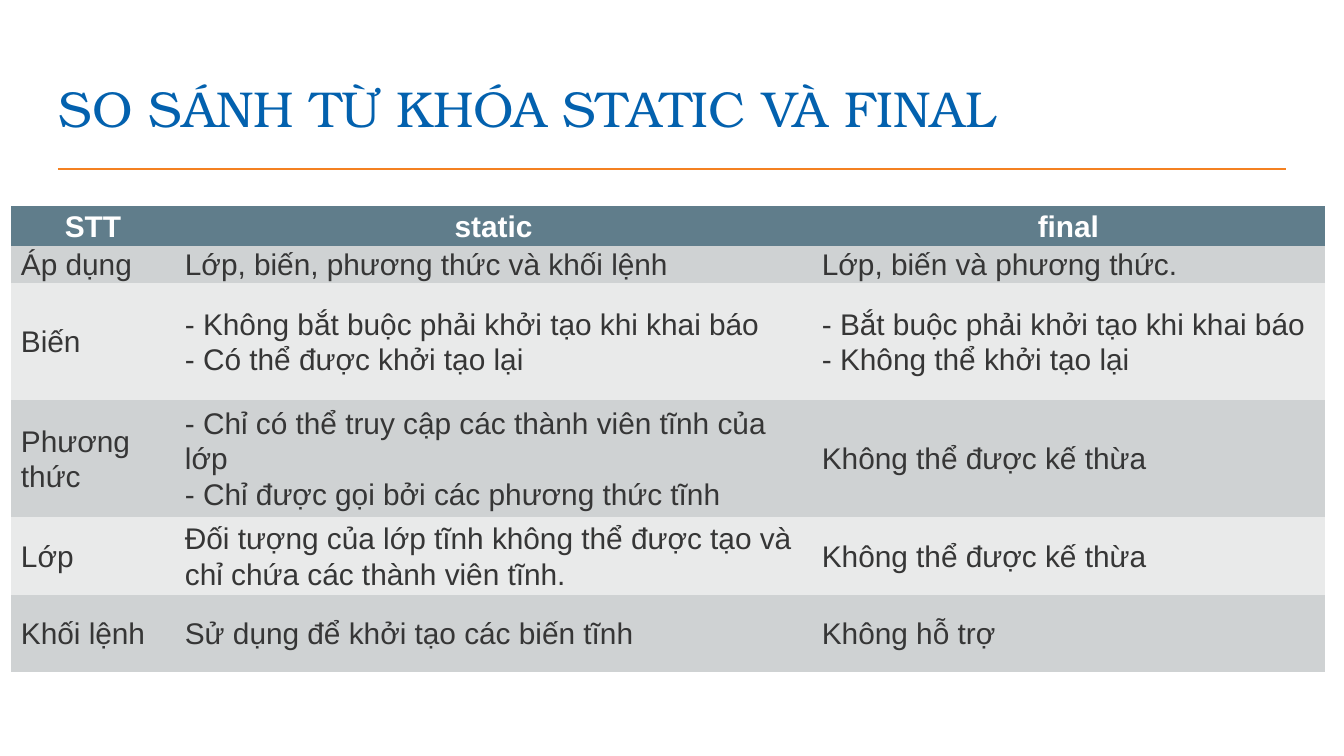
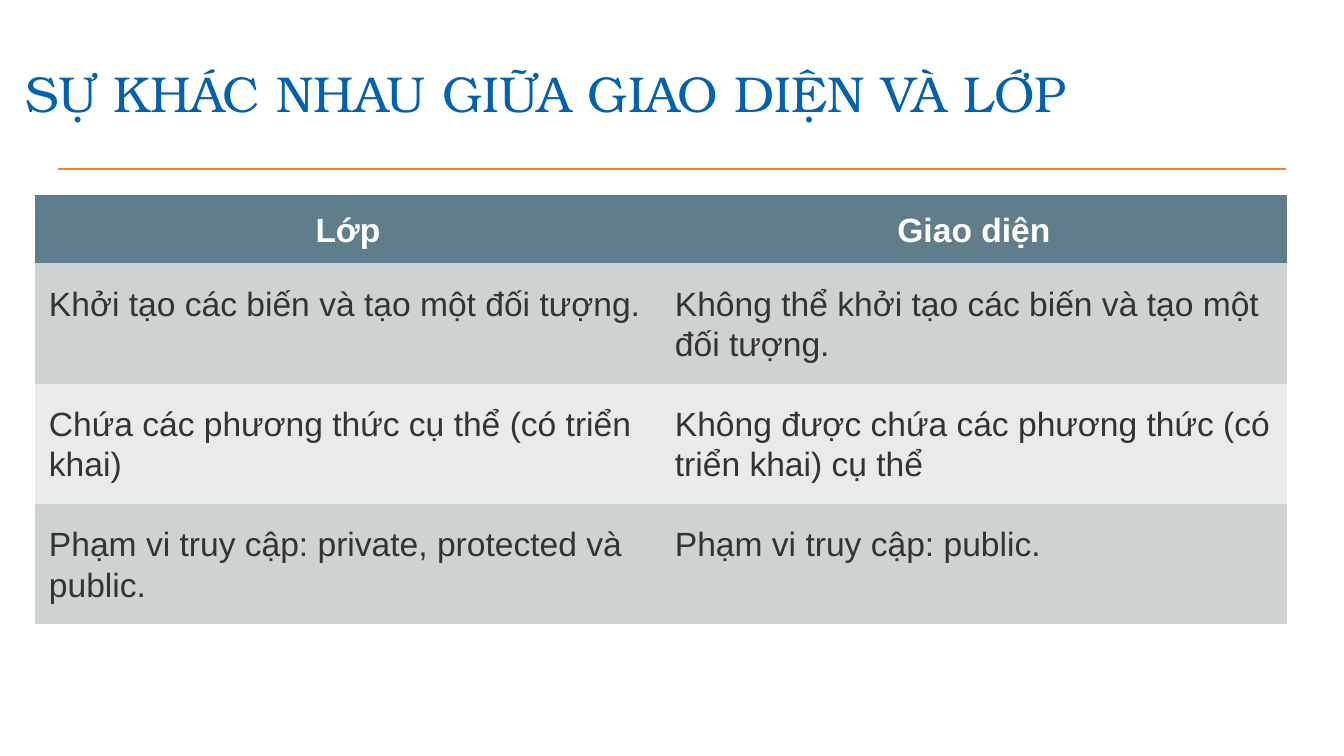
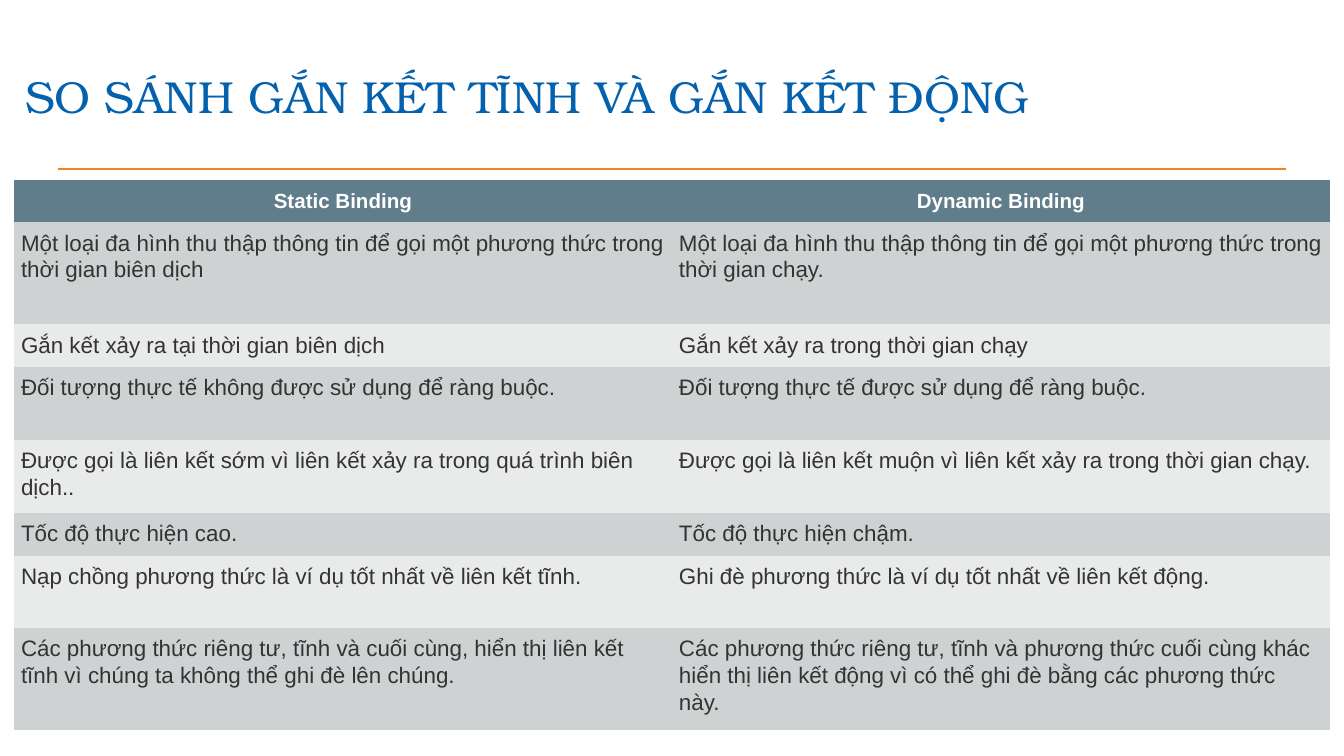
"""Build three comparison-table slides for a Java course."""
from dataclasses import dataclass

from pptx import Presentation
from pptx import util as u
from pptx.dml.color import RGBColor
from pptx.enum import shapes, text
from pptx.oxml import parse_xml
from pptx.oxml.ns import nsdecls, qn

SLIDE_WIDTH, SLIDE_HEIGHT = 1344, 756
EMU_PER_PX = u.Inches(10) / SLIDE_WIDTH
TITLE_ONLY = 5
NO_TABLE_STYLE = "{2D5ABB26-0587-4C30-8999-92F81FD0307C}"
TITLE_FONT, TABLE_FONT = "TeX Gyre Bonum", "Arial"
TITLE_SIZE = (1252, 85)
TITLE_INSET = 13
RULE_LEFT, RULE_RIGHT, RULE_TOP = 58, 1286, 169
MIDDLE, TOP = text.MSO_ANCHOR.MIDDLE, text.MSO_ANCHOR.TOP
COLORS = {
    "title": "0361AE",
    "rule": "F48121",
    "header": "607D8B",
    "header_text": "FFFFFF",
    "odd_row": "CFD2D3",
    "even_row": "E9EAEA",
    "charcoal": "363636",
    "dark": "333333",
}


@dataclass(frozen=True)
class CellStyle:
    size: int
    color: str
    anchor: text.MSO_ANCHOR
    inset_x: int
    inset_y: int
    space_after: int = 0
    bold: bool = False
    alignment: text.PP_ALIGN = text.PP_ALIGN.LEFT


@dataclass(frozen=True)
class Comparison:
    title: str
    title_left: int
    title_top: int
    title_points: int
    table_left: int
    table_top: int
    column_widths: tuple[int, ...]
    row_heights: tuple[int, ...]
    header: CellStyle
    body: CellStyle
    rows: tuple[tuple[str, ...], ...]


def header_style(size: int, anchor: text.MSO_ANCHOR, inset_x: int, inset_y: int,
                 space_after: int = 0) -> CellStyle:
    """Return the bold, white, centred style of a header row."""
    return CellStyle(size, "header_text", anchor, inset_x, inset_y, space_after,
                     True, text.PP_ALIGN.CENTER)


COMPARISONS = (
    Comparison(
        "SO SÁNH TỪ KHÓA STATIC VÀ FINAL", 46, 66, 27,
        11, 206, (164, 637, 513), (40, 37, 117, 117, 78, 77),
        header_style(16, MIDDLE, 10, 0),
        CellStyle(16, "charcoal", MIDDLE, 10, 0),
        (
            ("STT", "static", "final"),
            ("Áp dụng", "Lớp, biến, phương thức và khối lệnh",
             "Lớp, biến và phương thức."),
            ("Biến",
             "- Không bắt buộc phải khởi tạo khi khai báo\n- Có thể được khởi tạo lại",
             "- Bắt buộc phải khởi tạo khi khai báo\n- Không thể khởi tạo lại"),
            ("Phương thức",
             "- Chỉ có thể truy cập các thành viên tĩnh của lớp\n"
             "- Chỉ được gọi bởi các phương thức tĩnh",
             "Không thể được kế thừa"),
            ("Lớp",
             "Đối tượng của lớp tĩnh không thể được tạo và chỉ chứa các thành viên tĩnh.",
             "Không thể được kế thừa"),
            ("Khối lệnh", "Sử dụng để khởi tạo các biến tĩnh", "Không hỗ trợ"),
        ),
    ),
    Comparison(
        "SỰ KHÁC NHAU GIỮA GIAO DIỆN VÀ LỚP", 12, 51, 27,
        35, 195, (626, 626), (68, 120, 120, 119),
        header_style(18, TOP, 14, 14, 8),
        CellStyle(18, "dark", TOP, 14, 20, 8),
        (
            ("Lớp", "Giao diện"),
            ("Khởi tạo các biến và tạo một đối tượng.",
             "Không thể khởi tạo các biến và tạo một đối tượng."),
            ("Chứa các phương thức cụ thể (có triển khai)",
             "Không được chứa các phương thức (có triển khai) cụ thể"),
            ("Phạm vi truy cập: private, protected và public.",
             "Phạm vi truy cập: public."),
        ),
    ),
    Comparison(
        "SO SÁNH GẮN KẾT TĨNH VÀ GẮN KẾT ĐỘNG", 12, 51, 24,
        14, 180, (658, 658), (42, 102, 43, 73, 73, 43, 72, 102),
        header_style(11, MIDDLE, 7, 7),
        CellStyle(12, "dark", TOP, 7, 7),
        (
            ("Static Binding", "Dynamic Binding"),
            ("Một loại đa hình thu thập thông tin để gọi một phương thức trong "
             "thời gian biên dịch",
             "Một loại đa hình thu thập thông tin để gọi một phương thức trong "
             "thời gian chạy."),
            ("Gắn kết xảy ra tại thời gian biên dịch",
             "Gắn kết xảy ra trong thời gian chạy"),
            ("Đối tượng thực tế không được sử dụng để ràng buộc.",
             "Đối tượng thực tế được sử dụng để ràng buộc."),
            ("Được gọi là liên kết sớm vì liên kết xảy ra trong quá trình biên dịch..",
             "Được gọi là liên kết muộn vì liên kết xảy ra trong thời gian chạy."),
            ("Tốc độ thực hiện cao.", "Tốc độ thực hiện chậm."),
            ("Nạp chồng phương thức là ví dụ tốt nhất về liên kết tĩnh.",
             "Ghi đè phương thức là ví dụ tốt nhất về liên kết động."),
            ("Các phương thức riêng tư, tĩnh và cuối cùng, hiển thị liên kết tĩnh "
             "vì chúng ta không thể ghi đè lên chúng.",
             "Các phương thức riêng tư, tĩnh và phương thức cuối cùng khác hiển thị "
             "liên kết động vì có thể ghi đè bằng các phương thức này."),
        ),
    ),
)


def px(length: int) -> u.Emu:
    """Turn pixels into EMU."""
    return u.Emu(round(length * EMU_PER_PX))


def rgb(name: str) -> RGBColor:
    """Look up a named colour."""
    return RGBColor.from_string(COLORS[name])


def set_font(paragraph, name: str, size: int, color: str, bold: bool = False) -> None:
    """Format all the text of a paragraph."""
    font = paragraph.font
    font.name, font.size, font.bold = name, u.Pt(size), bold
    font.color.rgb = rgb(color)


def set_insets(target, inset_x: int, inset_y: int) -> None:
    """Set the margins of a cell or text frame."""
    target.margin_left = target.margin_right = px(inset_x)
    target.margin_top = target.margin_bottom = px(inset_y)


def add_rule(slide) -> None:
    """Place the rule under the title on the layout of the slide."""
    rule = slide.shapes.add_connector(
        shapes.MSO_CONNECTOR.STRAIGHT,
        px(RULE_LEFT), px(RULE_TOP), px(RULE_RIGHT), px(RULE_TOP))
    rule.line.color.rgb = rgb("rule")
    rule.line.width = u.Pt(1.5)
    properties = rule.element.find(qn("p:spPr"))
    properties.append(parse_xml(f"<a:effectLst {nsdecls('a')}/>"))
    slide.slide_layout.shapes.element.append(rule.element)


def set_title(slide, comparison: Comparison) -> None:
    """Move, fill and format the title placeholder."""
    title = slide.shapes.title
    title.left, title.top = px(comparison.title_left), px(comparison.title_top)
    title.width, title.height = map(px, TITLE_SIZE)
    frame = title.text_frame
    frame.text = comparison.title
    frame.word_wrap = True
    frame.auto_size = text.MSO_AUTO_SIZE.NONE
    frame.vertical_anchor = text.MSO_ANCHOR.BOTTOM
    set_insets(frame, TITLE_INSET, TITLE_INSET)
    paragraph = frame.paragraphs[0]
    paragraph.alignment = text.PP_ALIGN.LEFT
    set_font(paragraph, TITLE_FONT, comparison.title_points, "title")


def fill_cell(cell, content: str, style: CellStyle, fill: str) -> None:
    """Write and format one table cell."""
    cell.text = content
    cell.fill.solid()
    cell.fill.fore_color.rgb = rgb(fill)
    cell.vertical_anchor = style.anchor
    set_insets(cell, style.inset_x, style.inset_y)
    for paragraph in cell.text_frame.paragraphs:
        paragraph.alignment = style.alignment
        paragraph.line_spacing = 1.07
        paragraph.space_after = u.Pt(style.space_after)
        set_font(paragraph, TABLE_FONT, style.size, style.color, style.bold)


def add_comparison_table(slide, comparison: Comparison) -> None:
    """Add the table with a header row and alternating bands."""
    widths, heights = comparison.column_widths, comparison.row_heights
    frame = slide.shapes.add_table(
        len(heights), len(widths), px(comparison.table_left),
        px(comparison.table_top), px(sum(widths)), px(sum(heights)))
    for style_id in frame.element.iter(qn("a:tableStyleId")):
        style_id.text = NO_TABLE_STYLE
    table = frame.table
    for column, width in zip(table.columns, widths):
        column.width = px(width)
    for index, (row, height) in enumerate(zip(table.rows, heights)):
        row.height = px(height)
        style = comparison.body if index else comparison.header
        band = "odd_row" if index % 2 else "even_row"
        for cell, content in zip(row.cells, comparison.rows[index]):
            fill_cell(cell, content, style, band if index else "header")


def main() -> None:
    """Build and save the presentation."""
    presentation = Presentation()
    presentation.slide_width = px(SLIDE_WIDTH)
    presentation.slide_height = px(SLIDE_HEIGHT)
    layout = presentation.slide_layouts[TITLE_ONLY]
    for index, comparison in enumerate(COMPARISONS):
        slide = presentation.slides.add_slide(layout)
        if index == 0:
            add_rule(slide)
        set_title(slide, comparison)
        add_comparison_table(slide, comparison)
    presentation.save("out.pptx")


if __name__ == "__main__":
    main()
